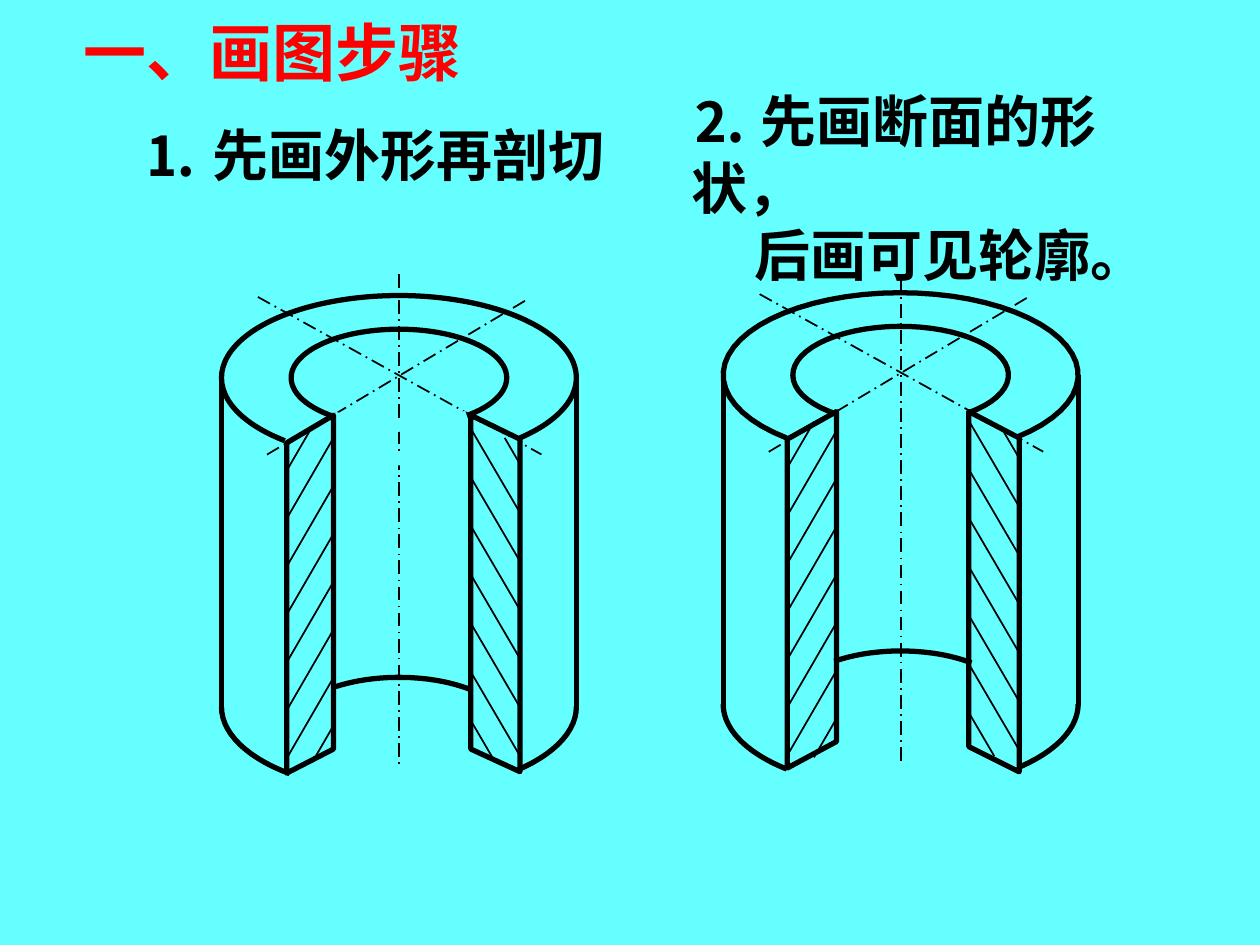
import math
from dataclasses import dataclass

import pptx
import pptx.dml.color
import pptx.enum.dml
import pptx.enum.shapes
import pptx.enum.text
import pptx.oxml.ns
import pptx.util
from lxml import etree

Pt = pptx.util.Pt
RGB = pptx.dml.color.RGBColor
Align = pptx.enum.text.PP_ALIGN


@dataclass(frozen=True)
class Theme:
    background: RGB = RGB(0x66, 0xFF, 0xFF)
    ink: RGB = RGB(0, 0, 0)
    heading: RGB = RGB(0xFF, 0, 0)
    font: str = "Times New Roman"
    heading_size: int = 36
    step_size: int = 32
    outline: int = 3
    thin: int = 1
    eraser: int = 6


class Drawing:
    """Holds the theme, the slide and the centre that points are measured from."""

    def __init__(self, theme, slide):
        self.theme, self.slide, self.center = theme, slide, (0, 0)
        slide.background.fill.solid()
        slide.background.fill.fore_color.rgb = theme.background

    def place(self, x, y):
        return Pt(self.center[0] + x), Pt(self.center[1] + y)

    def stroke(self, shape, width, color=None):
        shape.line.width = Pt(width)
        shape.line.color.rgb = color or self.theme.ink

    def line(self, start, end, width, dashed=False):
        connector = self.slide.shapes.add_connector(
            pptx.enum.shapes.MSO_CONNECTOR.STRAIGHT, *self.place(*start), *self.place(*end))
        self.stroke(connector, width)
        if dashed:
            connector.line.dash_style = pptx.enum.dml.MSO_LINE.LONG_DASH_DOT
        etree.SubElement(connector._element.spPr, pptx.oxml.ns.qn("a:effectLst"))

    def outline(self, points, width, color=None, close=False):
        first, *rest = [self.place(*point) for point in points]
        builder = self.slide.shapes.build_freeform(*first, scale=1.0)
        builder.add_line_segments(rest, close=close)
        shape = builder.convert_to_shape()
        shape.fill.background()
        shape.shadow.inherit = False
        self.stroke(shape, width, color)

    def arc(self, y, radii, start, end, width=None, color=None):
        """Elliptical arc; degrees run clockwise from the right."""
        angles = [math.radians(start + (end - start) * i / 48) for i in range(49)]
        points = [(radii[0] * math.cos(a), y + radii[1] * math.sin(a)) for a in angles]
        self.outline(points, width or self.theme.outline, color)

    def ellipse(self, radii):
        rx, ry = radii
        shape = self.slide.shapes.add_shape(
            pptx.enum.shapes.MSO_SHAPE.OVAL, *self.place(-rx, -ry), Pt(2 * rx), Pt(2 * ry))
        shape.fill.background()
        shape.shadow.inherit = False
        self.stroke(shape, self.theme.outline)

    def hatch(self, edge, top, run, drop, step, corner, tip):
        """Seven slanted strokes, the last cut at tip, and a corner one above."""
        for k in range(-1, 7):
            begin = corner if k < 0 else 0
            finish = tip if k == 6 else 1
            ends = [(edge + run * t, top + step * k + drop * t) for t in (begin, finish)]
            self.line(*ends, self.theme.thin)

    def text(self, box, lines, size, color, align=Align.LEFT, wrap=False, indent=0):
        frame = self.slide.shapes.add_textbox(*map(Pt, box)).text_frame
        frame.word_wrap = wrap
        frame.auto_size = pptx.enum.text.MSO_AUTO_SIZE.SHAPE_TO_FIT_TEXT
        frame.vertical_anchor = pptx.enum.text.MSO_ANCHOR.MIDDLE
        for i, content in enumerate(lines):
            paragraph = frame.add_paragraph() if i else frame.paragraphs[0]
            paragraph.text = content
            paragraph.alignment = align
            properties = paragraph._p.get_or_add_pPr()
            properties.set("hangingPunct", "0")  # a closing comma stays inside the box
            if i and indent:
                properties.set("marL", str(Pt(indent)))
            font = paragraph.font
            font.name, font.size, font.bold = self.theme.font, Pt(size), True
            font.color.rgb = color


# Cylinder measures, relative to the centre of the top face
OUTER = (101.4, 47)
BORE = (61.6, 27.8)
BASE = (101.4, 48.5)
BASE_Y = 188


def draw_axes(drawing, top, bottom):
    thin = drawing.theme.thin
    drawing.line((-80.6, -46.2), (81.4, 43.8), thin, dashed=True)
    drawing.line((72, -44), (-75.6, 44), thin, dashed=True)
    drawing.line((0, top), (0, bottom), thin, dashed=True)


def draw_sides(drawing):
    for x in (OUTER[0], -OUTER[0]):
        drawing.line((x, 0), (x, 189.3), drawing.theme.outline)


def draw_cut_faces(drawing, left_face, right_face):
    for face in (left_face, right_face):
        drawing.outline(face, drawing.theme.outline, close=True)


def draw_hatching(drawing, left, right):
    drawing.hatch(*left, run=-27, drop=46.6, step=27.4, corner=0.45, tip=0.45)
    drawing.hatch(*right, run=28, drop=47.9, step=27.8, corner=0.7, tip=0.51)


def draw_shape_first(drawing):
    """Whole cylinder first, then the cut quarter is erased."""
    theme = drawing.theme
    draw_sides(drawing)
    drawing.arc(BASE_Y, BASE, 180, 0)
    drawing.ellipse(BORE)
    drawing.ellipse(OUTER)
    draw_axes(drawing, -59.3, 223)
    drawing.arc(199, BORE, 234, 312)
    for y, radii, start, end in ((0, BORE, 127, 51), (0, OUTER, 130, 47),
                                 (BASE_Y, BASE, 128, 47)):
        drawing.arc(y, radii, start, end, theme.eraser, theme.background)
    draw_hatching(drawing, (-37.4, 34.3), (40.8, 28.6))
    draw_cut_faces(drawing,
                   [(-37.4, 21.4), (-37.4, 212.2), (-64.1, 225.9), (-64.1, 37.2)],
                   [(41, 21.4), (41, 212.2), (69.1, 225.1), (69.1, 35.1)])


def draw_section_first(drawing):
    """Cut faces first, then only the contours that stay visible."""
    draw_axes(drawing, -55.4, 222.5)
    draw_sides(drawing)
    drawing.arc(185.5, BORE, 232, 311)
    draw_cut_faces(drawing,
                   [(-36.7, 20.9), (-36.7, 209.5), (-64.8, 224.6), (-64.8, 36.7)],
                   [(38.9, 20.9), (38.9, 212.4), (67.7, 226.8), (67.7, 36)])
    drawing.arc(0, BORE, 126, 411)
    drawing.arc(0, OUTER, 130, 409)
    drawing.arc(BASE_Y, BASE, 0, 48)
    drawing.arc(BASE_Y, BASE, 180, 130)
    draw_hatching(drawing, (-37.4, 33.1), (39.2, 26.6))


def main():
    deck = pptx.Presentation()
    deck.slide_width, deck.slide_height = Pt(720), Pt(540)
    theme = Theme()
    drawing = Drawing(theme, deck.slides.add_slide(deck.slide_layouts[6]))

    # The two cylinders
    drawing.center = (514.7, 214.3)
    draw_section_first(drawing)
    drawing.center = (228, 215.9)
    draw_shape_first(drawing)

    # Heading and the two methods
    drawing.text((40.6, 4, 230.4, 50.4), ["一、画图步骤"], theme.heading_size, theme.heading)
    drawing.text((74.2, 65, 279.4, 46), ["⒈ 先画外形再剖切"],
                 theme.step_size, theme.ink, align=Align.CENTER)
    drawing.text((388, 64.8, 289.4, 84.2), ["⒉ 先画断面的形状，", "后画可见轮廓。"],
                 theme.step_size, theme.ink, wrap=True, indent=36)

    deck.save("out.pptx")


if __name__ == "__main__":
    main()
